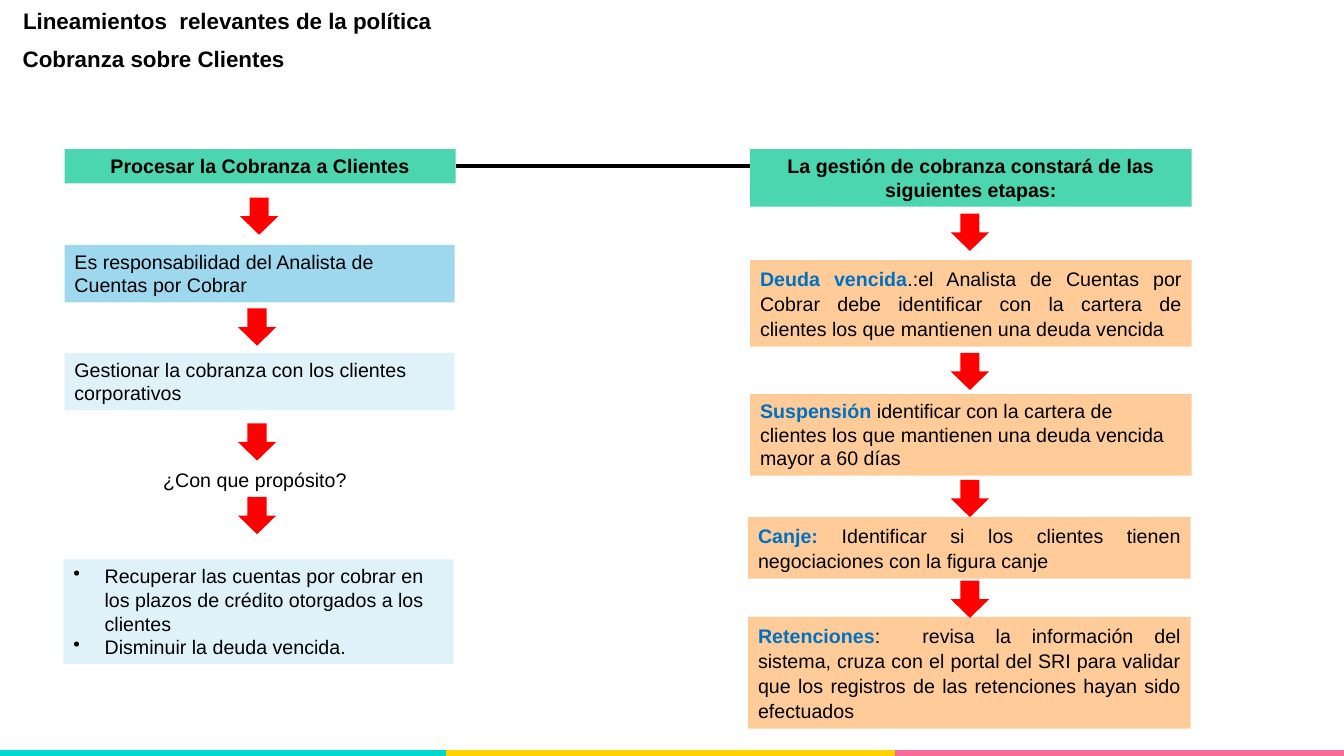
import lxml.etree
import pptx
import pptx.dml.color
import pptx.enum.shapes
import pptx.enum.text
import pptx.oxml.ns
import pptx.util

PX = 9144  # EMU per px, 100 px to the inch
FONT = "Arial"
BLACK, BLUE, RED = "000000", "0070C0", "FF0000"
GREEN, SKY, PALE, PEACH = "4CD6B0", "9ED8EF", "DFF2FA", "FFCC99"
ALIGN = pptx.enum.text.PP_ALIGN
SHAPE = pptx.enum.shapes.MSO_SHAPE

LEFT_ARROWS = [(238, 196), (236, 306), (236, 420), (236, 493)]
RIGHT_ARROWS = [(943, top) for top in (212, 350, 476, 576)]
FOOTER = [(0, "00D8CE"), (443, "FFD200"), (888, "F86B99")]
STAGES = [
    ((744, 258, 438, 86), ALIGN.JUSTIFY, "Deuda vencida",
     ".:el Analista de Cuentas por Cobrar debe identificar con la cartera de "
     "clientes los que mantienen una deuda vencida"),
    ((744, 391, 438, 81), ALIGN.LEFT, "Suspensión ",
     "identificar con la cartera de clientes los que mantienen una deuda "
     "vencida mayor a 60 días"),
    ((742, 513, 439, 61), ALIGN.JUSTIFY, "Canje: ",
     "Identificar si los clientes tienen negociaciones con la figura canje"),
    ((742, 612, 439, 111), ALIGN.JUSTIFY, "Retenciones",
     ":  revisa la información del sistema, cruza con el portal del SRI para "
     "validar que los registros de las retenciones hayan sido efectuados"),
]


def emu(*lengths):
    return [pptx.util.Emu(length * PX) for length in lengths]


def color(value):
    return pptx.dml.color.RGBColor.from_string(value)


def add_block(page, kind, place, fill, line=None):
    """Add a flat preset shape, outlined only when a line colour is given."""
    block = page.shapes.add_shape(kind, *emu(*place))
    block.shadow.inherit = False
    block.fill.solid()
    block.fill.fore_color.rgb = color(fill)
    if line:
        block.line.color.rgb = color(line)
        block.line.width = pptx.util.Pt(1)
    else:
        block.line.fill.background()
    return block


def write(box, paragraphs, align=ALIGN.LEFT, size=14, wrap=True):
    """Fill a box with paragraphs, each a list of (text, colour, bold)."""
    frame = box.text_frame
    frame.word_wrap = wrap
    frame.vertical_anchor = pptx.enum.text.MSO_ANCHOR.TOP
    for index, spans in enumerate(paragraphs):
        para = frame.add_paragraph() if index else frame.paragraphs[0]
        para.alignment = align
        if align == ALIGN.JUSTIFY:
            para.line_spacing = 1.07
            para.space_after = pptx.util.Pt(8)
        for text, ink, bold in spans:
            span = para.add_run()
            span.text = text
            span.font.name = FONT
            span.font.size = pptx.util.Pt(size)
            span.font.bold = bold
            span.font.color.rgb = color(ink)


def add_panel(page, place, fill, paragraphs, align=ALIGN.LEFT):
    panel = add_block(page, SHAPE.RECTANGLE, place, fill)
    write(panel, paragraphs, align)
    return panel


def add_label(page, place, text, **style):
    bold = style.pop("bold", False)
    label = page.shapes.add_textbox(*emu(*place))
    write(label, [[(text, BLACK, bold)]], **style)


def add_bullets(panel):
    for para in panel.text_frame.paragraphs:
        properties = para._p.get_or_add_pPr()
        properties.set("marL", str(31 * PX))
        properties.set("indent", str(-31 * PX))
        bullet = lxml.etree.SubElement(properties, pptx.oxml.ns.qn("a:buChar"))
        bullet.set("char", "•")


def add_link(page, start, end_x, end_y):
    """Draw a thick line from the right side of a box to a point."""
    link = page.shapes.add_connector(
        pptx.enum.shapes.MSO_CONNECTOR.STRAIGHT, *emu(0, 0, end_x, end_y))
    link.begin_connect(start, 3)
    link.line.color.rgb = color(BLACK)
    link.line.width = pptx.util.Pt(3)
    lxml.etree.SubElement(link._element.spPr, pptx.oxml.ns.qn("a:effectLst"))


def main():
    deck = pptx.Presentation()
    deck.slide_width, deck.slide_height = emu(1333, 750)
    page = deck.slides.add_slide(deck.slide_layouts[6])

    for left, fill in FOOTER:
        add_block(page, SHAPE.RECTANGLE, (left, 745, 445, 5), fill, fill)

    heading = dict(align=ALIGN.CENTER, size=16, wrap=False, bold=True)
    add_label(page, (7, 2, 437, 37), "Lineamientos  relevantes de la política", **heading)
    add_label(page, (11, 40, 283, 37), "Cobranza sobre Clientes", **heading)

    process = add_panel(page, (64, 148, 388, 34), GREEN,
                        [[("Procesar la Cobranza a Clientes", BLACK, True)]], ALIGN.CENTER)
    add_panel(page, (744, 148, 438, 57), GREEN,
              [[("La gestión de cobranza constará de las siguientes etapas:", BLACK, True)]],
              ALIGN.CENTER)
    add_link(page, process, 744, 165)

    add_panel(page, (64, 243, 387, 57), SKY,
              [[("Es responsabilidad del Analista de Cuentas por Cobrar", BLACK, False)]])
    add_panel(page, (64, 350, 387, 57), PALE,
              [[("Gestionar la cobranza con los clientes corporativos", BLACK, False)]])
    add_label(page, (152, 459, 211, 34), "¿Con que propósito?")
    purposes = add_panel(page, (63, 555, 387, 104), PALE, [
        [("Recuperar las cuentas por cobrar en los plazos de crédito otorgados "
          "a los clientes", BLACK, False)],
        [("Disminuir la deuda vencida.", BLACK, False)],
    ])
    add_bullets(purposes)

    for place, align, name, detail in STAGES:
        add_panel(page, place, PEACH, [[(name, BLUE, True), (detail, BLACK, False)]], align)
    for left, top in LEFT_ARROWS + RIGHT_ARROWS:
        add_block(page, SHAPE.DOWN_ARROW, (left, top, 38, 37), RED)

    deck.save("out.pptx")


if __name__ == "__main__":
    main()
